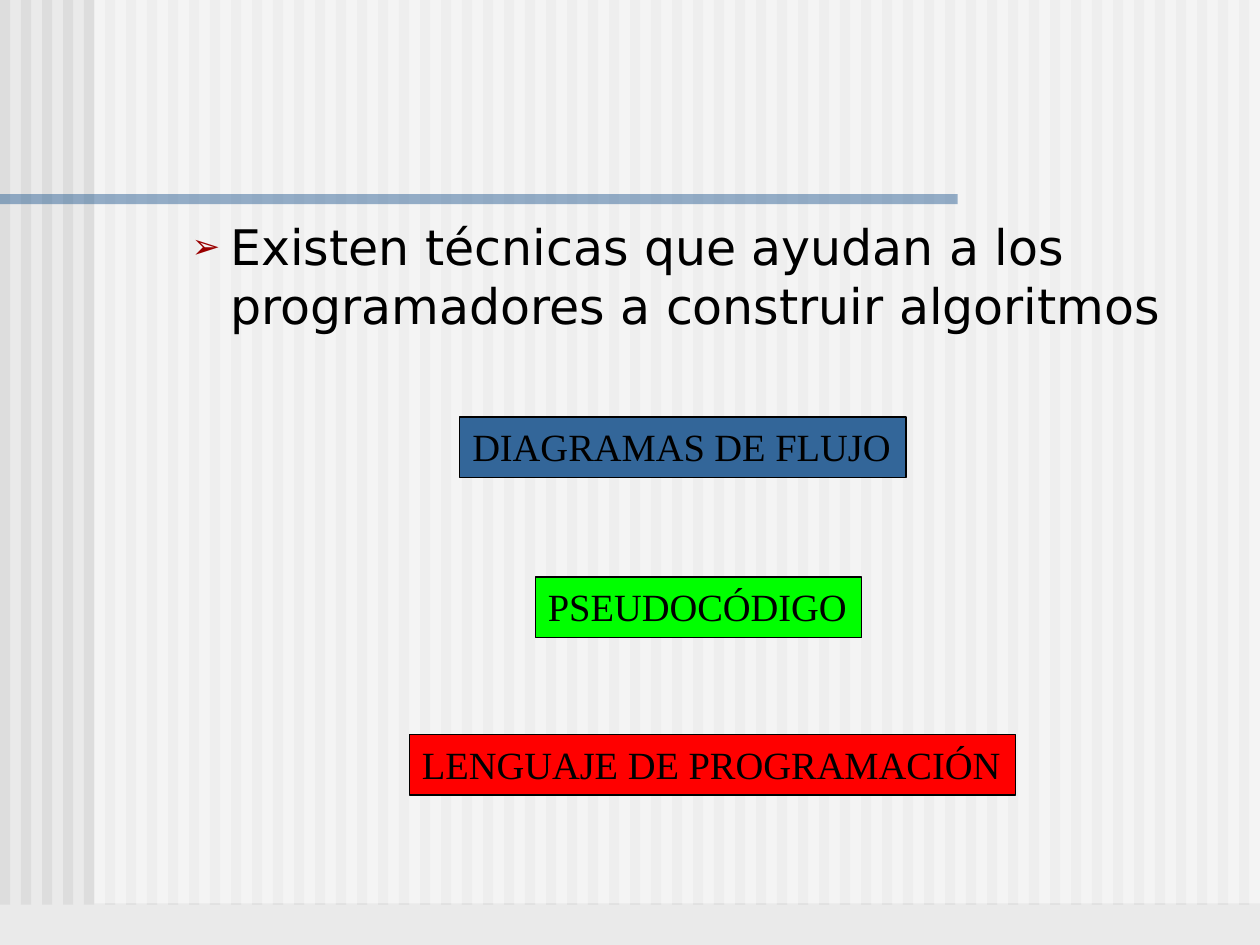
from lxml.etree import SubElement
from pptx import Presentation
from pptx.dml.color import RGBColor
from pptx.enum.shapes import MSO_SHAPE
from pptx.enum.text import MSO_ANCHOR, MSO_AUTO_SIZE, PP_ALIGN
from pptx.oxml.ns import qn
from pptx.util import Inches, Pt


def color(value):
    return RGBColor.from_string(value)


class TechniquesSlide:
    body_font = "DejaVu Sans"
    label_font = "Times New Roman"
    ink = "000000"
    stripe = "DDDDDD"
    blue = "336699"

    def __init__(self, deck):
        self.page = deck.slides.add_slide(deck.slide_layouts[1])
        title = self.page.shapes.title.element
        title.getparent().remove(title)
        fill = self.page.background.fill
        fill.solid()
        fill.fore_color.rgb = color("EAEAEA")

    def rectangle(self, left, top, width, height, fill, opacity=100):
        box = self.page.shapes.add_shape(
            MSO_SHAPE.RECTANGLE, Inches(left), Inches(top), Inches(width), Inches(height)
        )
        box.shadow.inherit = False
        box.fill.solid()
        box.fill.fore_color.rgb = color(fill)
        box.line.fill.background()
        if opacity < 100:
            tint = box.fill._xPr.find(".//" + qn("a:srgbClr"))
            SubElement(tint, qn("a:alpha"), val=str(opacity * 1000))
        return box

    def style(self, para, font, size):
        para.alignment = PP_ALIGN.LEFT
        para.font.name = font
        para.font.size = Pt(size)
        para.font.color.rgb = color(self.ink)

    def label(self, left, top, width, fill, text):
        box = self.rectangle(left, top, width, 0.48, fill)
        box.line.color.rgb = color(self.ink)
        box.line.width = Pt(0.75)
        frame = box.text_frame
        frame.word_wrap = False
        frame.auto_size = MSO_AUTO_SIZE.SHAPE_TO_FIT_TEXT
        frame.vertical_anchor = MSO_ANCHOR.TOP
        para = frame.paragraphs[0]
        para.text = text
        self.style(para, self.label_font, 22)

    def bullet_text(self, left, top, width, height, text):
        body = self.page.placeholders[1]
        body.left, body.top = Inches(left), Inches(top)
        body.width, body.height = Inches(width), Inches(height)
        body.text_frame.auto_size = MSO_AUTO_SIZE.NONE
        para = body.text_frame.paragraphs[0]
        para.text = text
        para.level = 1
        para.space_before = Pt(5.6)
        properties = para._p.get_or_add_pPr()
        properties.set("marL", str(Inches(0.81)))
        properties.set("indent", str(Inches(-0.31)))
        bullet_color = SubElement(properties, qn("a:buClr"))
        SubElement(bullet_color, qn("a:srgbClr"), val="9A0000")
        SubElement(properties, qn("a:buSzPct"), val="70000")
        SubElement(properties, qn("a:buChar"), char="➢")
        self.style(para, self.body_font, 28)
        self.page.shapes._spTree.append(body.element)


def main():
    deck = Presentation()
    deck.slide_width, deck.slide_height = Inches(10), Inches(7.5)
    slide = TechniquesSlide(deck)
    for index in range(60):
        slide.rectangle(index / 6, -0.32, 0.08, 7.5, slide.stripe)
    slide.rectangle(0.75, -0.33, 9.26, 7.5, "FFFFFF", opacity=50)
    slide.rectangle(0, 1.54, 7.6, 0.08, slide.blue, opacity=50)
    slide.bullet_text(
        0.92, 1.67, 8.87, 4.92,
        "Existen técnicas que ayudan a los programadores a construir algoritmos",
    )
    slide.label(3.25, 5.83, 4.81, "FF0000", "LENGUAJE DE PROGRAMACIÓN")
    slide.label(4.25, 4.58, 2.59, "00FF00", "PSEUDOCÓDIGO")
    slide.label(3.65, 3.31, 3.54, slide.blue, "DIAGRAMAS DE FLUJO")
    deck.save("out.pptx")


if __name__ == "__main__":
    main()
